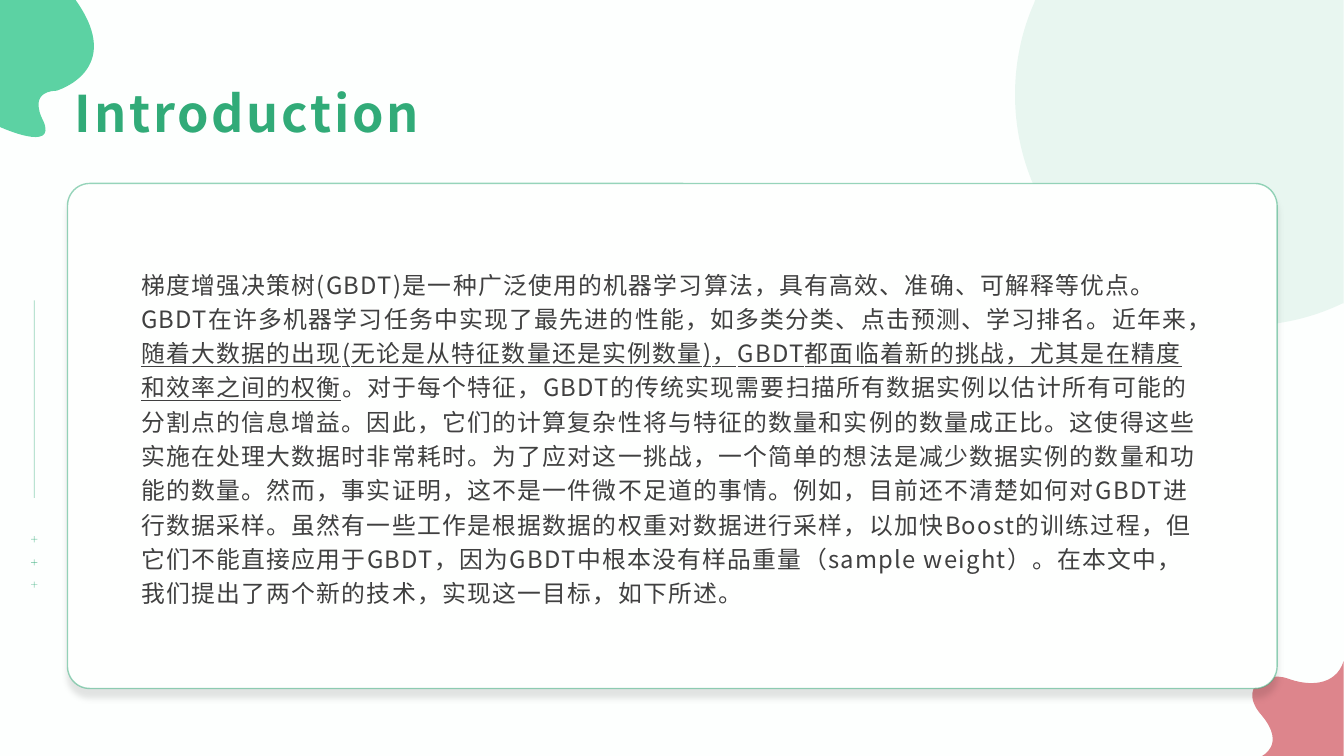
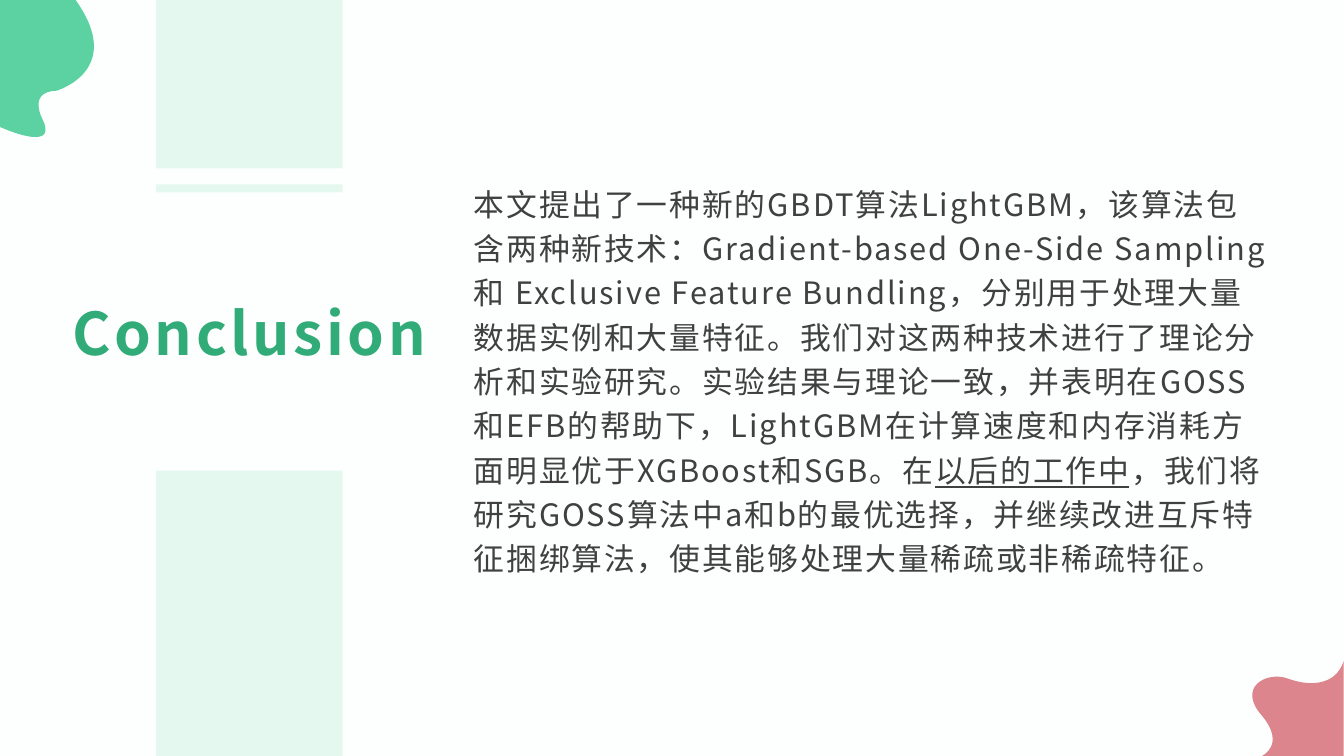
"""Build the two slides on gradient boosting: introduction and conclusion."""
from dataclasses import dataclass

from lxml import etree
from pptx import Presentation
from pptx.dml.color import RGBColor
from pptx.enum.shapes import MSO_CONNECTOR, MSO_SHAPE
from pptx.enum.text import MSO_ANCHOR, MSO_AUTO_SIZE, PP_ALIGN
from pptx.oxml.ns import qn
from pptx.util import Inches, Pt

STRAIGHT = MSO_CONNECTOR.STRAIGHT
RECTANGLE = MSO_SHAPE.RECTANGLE
ROUNDED = MSO_SHAPE.ROUNDED_RECTANGLE
MIDDLE = MSO_ANCHOR.MIDDLE
NO_AUTOFIT = MSO_AUTO_SIZE.NONE
LEFT, CENTER = PP_ALIGN.LEFT, PP_ALIGN.CENTER

TITLE_ONLY = 5

GREEN_BLOB = ((0, 1.26), (
    (0, 1.26, 0.57, 1.52, 0.43, 1.2),
    (0.43, 1.2, 0.26, 0.91, 0.56, 0.9),
    (0.56, 0.9, 1.25, 0.7, 0.75, 0),
    (0, 0),
))
PINK_BLOB = ((12.52, 7.5), (
    (12.52, 7.5, 12.76, 7.39, 12.52, 7.1),
    (12.27, 6.82, 12.56, 6.66, 12.77, 6.73),
    (12.98, 6.81, 13.25, 6.81, 13.33, 6.56),
    (13.33, 7.5),
))
CORNER_DISC = ((10.27, 0), (
    (13.33, 0),
    (13.33, 3.01),
    (13.32, 3.01),
    (13.03, 3.15, 12.7, 3.23, 12.36, 3.23),
    (11.1, 3.23, 10.07, 2.2, 10.07, 0.94),
    (10.07, 0.61, 10.14, 0.3, 10.26, 0.03),
))

INTRODUCTION = (
    ("梯度增强决策树(GBDT)是一种广泛使用的机器学习算法，具有高效、准确、可解释等优点。"
     "GBDT在许多机器学习任务中实现了最先进的性能，如多类分类、点击预测、学习排名。近年来，", False),
    ("随着大数据的出现(无论是从特征数量还是实例数量)，GBDT都面临着新的挑战，"
     "尤其是在精度和效率之间的权衡", True),
    ("。对于每个特征，GBDT的传统实现需要扫描所有数据实例以估计所有可能的分割点的信息增益。"
     "因此，它们的计算复杂性将与特征的数量和实例的数量成正比。这使得这些实施在处理大数据时非常耗时。"
     "为了应对这一挑战，一个简单的想法是减少数据实例的数量和功能的数量。"
     "然而，事实证明，这不是一件微不足道的事情。例如，目前还不清楚如何对GBDT进行数据采样。"
     "虽然有一些工作是根据数据的权重对数据进行采样，以加快Boost的训练过程，"
     "但它们不能直接应用于GBDT，因为GBDT中根本没有样品重量（sample weight）。"
     "在本文中，我们提出了两个新的技术，实现这一目标，如下所述。", False),
)
CONCLUSION = (
    ("本文提出了一种新的GBDT算法LightGBM，该算法包含两种新技术："
     "Gradient-based One-Side Sampling 和 Exclusive Feature Bundling，"
     "分别用于处理大量数据实例和大量特征。我们对这两种技术进行了理论分析和实验研究。"
     "实验结果与理论一致，并表明在GOSS和EFB的帮助下，"
     "LightGBM在计算速度和内存消耗方面明显优于XGBoost和SGB。在", False),
    ("以后的工作中", True),
    ("，我们将研究GOSS算法中a和b的最优选择，并继续改进互斥特征捆绑算法，"
     "使其能够处理大量稀疏或非稀疏特征。", False),
)


@dataclass(frozen=True)
class Theme:
    """Colours, font and type sizes of the deck."""
    background: str = "FDFFFE"
    accent: str = "31AB78"
    mint: str = "5CD2A3"
    pink: str = "DD858C"
    band: str = "E5F8F0"
    card: str = "FEFFFE"
    body: str = "404040"
    font: str = "Noto Sans CJK SC"
    title_size: float = 36
    large_title_size: float = 42
    body_size: float = 17
    large_body_size: float = 22
    body_spacing: float = 1.2


def paint(fill, color, opacity=100):
    """Give a fill a solid colour with an opacity in percent."""
    fill.solid()
    fill.fore_color.rgb = RGBColor.from_string(color)
    if opacity < 100:
        node = fill._xPr.find(qn("a:solidFill")).find(qn("a:srgbClr"))
        etree.SubElement(node, qn("a:alpha"), val=str(opacity * 1000))


def write_text(shape, runs, *, font, size, color, bold=False, tracking=0,
               align=LEFT, line_spacing=1.0):
    """Write (text, underlined) runs as one formatted paragraph."""
    frame = shape.text_frame
    frame.word_wrap = True
    frame.auto_size = NO_AUTOFIT
    frame.vertical_anchor = MIDDLE
    frame.margin_left = frame.margin_right = Inches(0.07)
    frame.margin_top = frame.margin_bottom = Inches(0.03)
    paragraph = frame.paragraphs[0]
    paragraph.alignment = align
    paragraph.line_spacing = line_spacing
    for text, underlined in runs:
        run = paragraph.add_run()
        run.text = text
        run.font.name = font
        run.font.size = Pt(size)
        run.font.bold = bold
        run.font.underline = underlined
        run.font.color.rgb = RGBColor.from_string(color)
        properties = run._r.get_or_add_rPr()
        properties.set("spc", str(round(tracking * 100)))
        etree.SubElement(properties, qn("a:ea"), typeface=font)


def bend(shape, segments):
    """Join the straight steps of each cubic segment into one curve."""
    steps = iter(list(shape._element.iter(qn("a:lnTo"))))
    for segment in segments:
        first = next(steps)
        if len(segment) == 6:
            first.tag = qn("a:cubicBezTo")
            for step in (next(steps), next(steps)):
                first.append(step[0])
                step.getparent().remove(step)


class Deck:
    """Holds the presentation, its theme and the current slide."""

    def __init__(self, theme):
        """Start a widescreen presentation with the shared background."""
        self.theme = theme
        self.presentation = Presentation()
        self.presentation.slide_width = Inches(40 / 3)
        self.presentation.slide_height = Inches(7.5)
        paint(self.presentation.slide_master.background.fill, theme.background)
        self.slide = None

    def add_slide(self):
        """Add a slide with the two corner blobs."""
        layout = self.presentation.slide_layouts[TITLE_ONLY]
        self.slide = self.presentation.slides.add_slide(layout)
        self.outline(GREEN_BLOB, self.theme.mint)
        self.outline(PINK_BLOB, self.theme.pink)

    def outline(self, curve, color, opacity=100):
        """Draw a closed curved outline without a border."""
        start, segments = curve
        points = [(Inches(segment[i]), Inches(segment[i + 1]))
                  for segment in segments for i in range(0, len(segment), 2)]
        builder = self.slide.shapes.build_freeform(*map(Inches, start))
        builder.add_line_segments(points, close=True)
        shape = builder.convert_to_shape()
        bend(shape, segments)
        shape.shadow.inherit = False
        paint(shape.fill, color, opacity)
        shape.line.fill.background()

    def box(self, kind, bounds, color):
        """Draw a filled preset shape without border or shadow."""
        shape = self.slide.shapes.add_shape(kind, *map(Inches, bounds))
        shape.shadow.inherit = False
        paint(shape.fill, color)
        shape.line.fill.background()
        return shape

    def card(self, bounds):
        """Draw the rounded card with a thin border and a soft shadow."""
        shape = self.box(ROUNDED, bounds, self.theme.card)
        shape.adjustments[0] = 0.044
        paint(shape.line.fill, self.theme.accent, 50)
        shape.line.width = Pt(1)
        effects = shape._element.spPr.find(qn("a:effectLst"))
        shadow = etree.SubElement(
            effects, qn("a:outerShdw"), blurRad=str(Pt(4)), dist=str(Pt(6)),
            dir="5400000", algn="t", rotWithShape="0")
        color = etree.SubElement(shadow, qn("a:srgbClr"), val="000000")
        etree.SubElement(color, qn("a:alpha"), val="11000")

    def line(self, group, *ends):
        """Draw a hairline in a group from x, y to x, y."""
        connector = group.shapes.add_connector(STRAIGHT, *map(Inches, ends))
        paint(connector.line.fill, self.theme.accent, 50)
        connector.line.width = Pt(0.5)
        etree.SubElement(connector._element.spPr, qn("a:effectLst"))

    def margin_marks(self):
        """Draw the vertical rule and the plus signs in the left margin."""
        group = self.slide.shapes.add_group_shape()
        x, arm = 0.34, 0.03
        self.line(group, x, 2.98, x, 4.94)
        for y in (5.35, 5.58, 5.8):
            self.line(group, x, y - arm, x, y + arm)
            self.line(group, x - arm, y, x + arm, y)

    def title(self, text, bounds, **text_format):
        """Place and format the title placeholder."""
        shape = self.slide.shapes.title
        shape.left, shape.top, shape.width, shape.height = map(Inches, bounds)
        write_text(shape, [(text, False)], font=self.theme.font,
                   color=self.theme.accent, bold=True, **text_format)

    def body(self, runs, bounds, **text_format):
        """Add a body text box."""
        shape = self.slide.shapes.add_textbox(*map(Inches, bounds))
        write_text(shape, runs, font=self.theme.font, color=self.theme.body,
                   line_spacing=self.theme.body_spacing, **text_format)


def build_introduction(deck):
    """Build the introduction slide."""
    theme = deck.theme
    deck.add_slide()
    deck.outline(CORNER_DISC, theme.accent, 10)
    deck.margin_marks()
    deck.card((0.67, 1.82, 12, 5.01))
    deck.title("Introduction", (0.67, 0.74, 9.5, 0.74),
               size=theme.title_size, tracking=2)
    deck.body(INTRODUCTION, (1.33, 2.32, 10.67, 4.01),
              size=theme.body_size, tracking=0.9)


def build_conclusion(deck):
    """Build the conclusion slide."""
    theme = deck.theme
    deck.add_slide()
    deck.title("Conclusion", (0.43, 2.17, 4.09, 2.17), align=CENTER,
               size=theme.large_title_size, tracking=2.6, line_spacing=1.1)
    deck.body(CONCLUSION, (4.63, 1.13, 8.04, 5.23),
              size=theme.large_body_size, tracking=1.4)
    for top, height in ((0, 1.67), (1.83, 0.08), (4.67, 2.83)):
        deck.box(RECTANGLE, (1.55, top, 1.85, height), theme.band)


def main():
    """Build and save the presentation."""
    deck = Deck(Theme())
    build_introduction(deck)
    build_conclusion(deck)
    deck.presentation.save("out.pptx")


if __name__ == "__main__":
    main()
